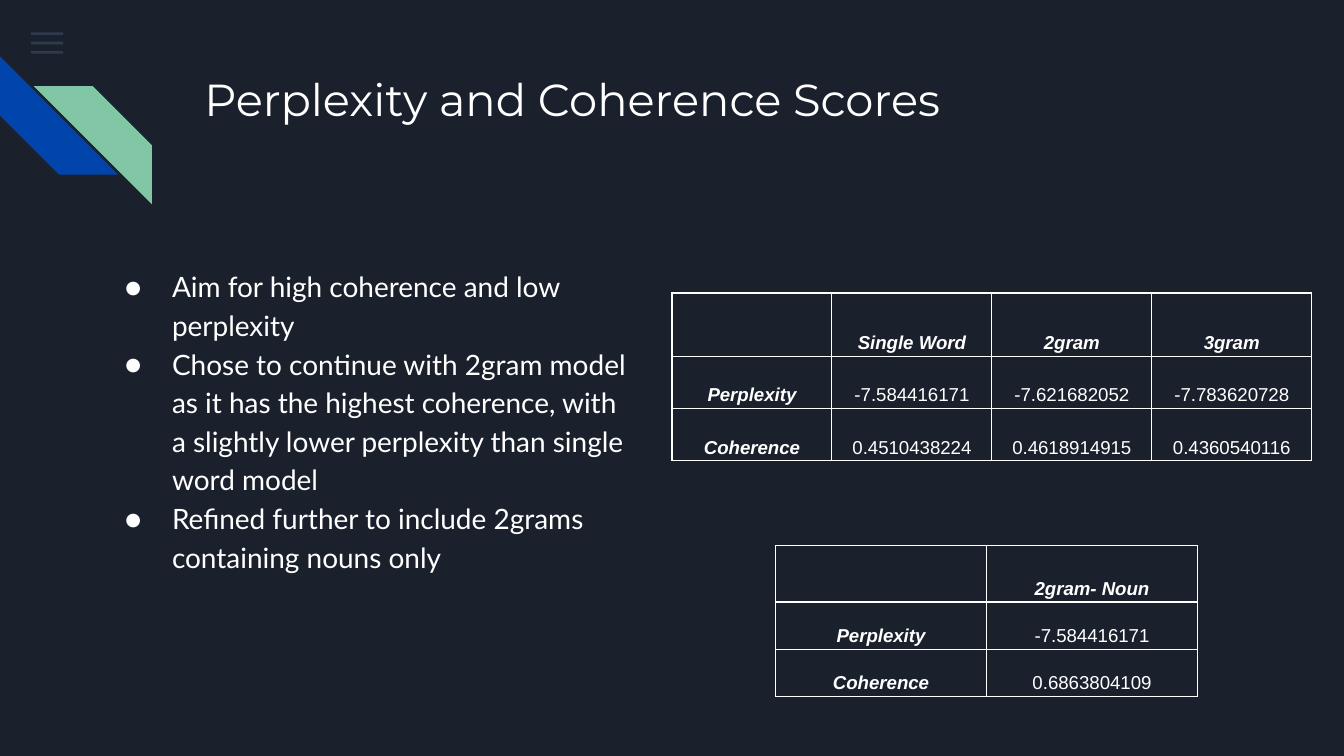
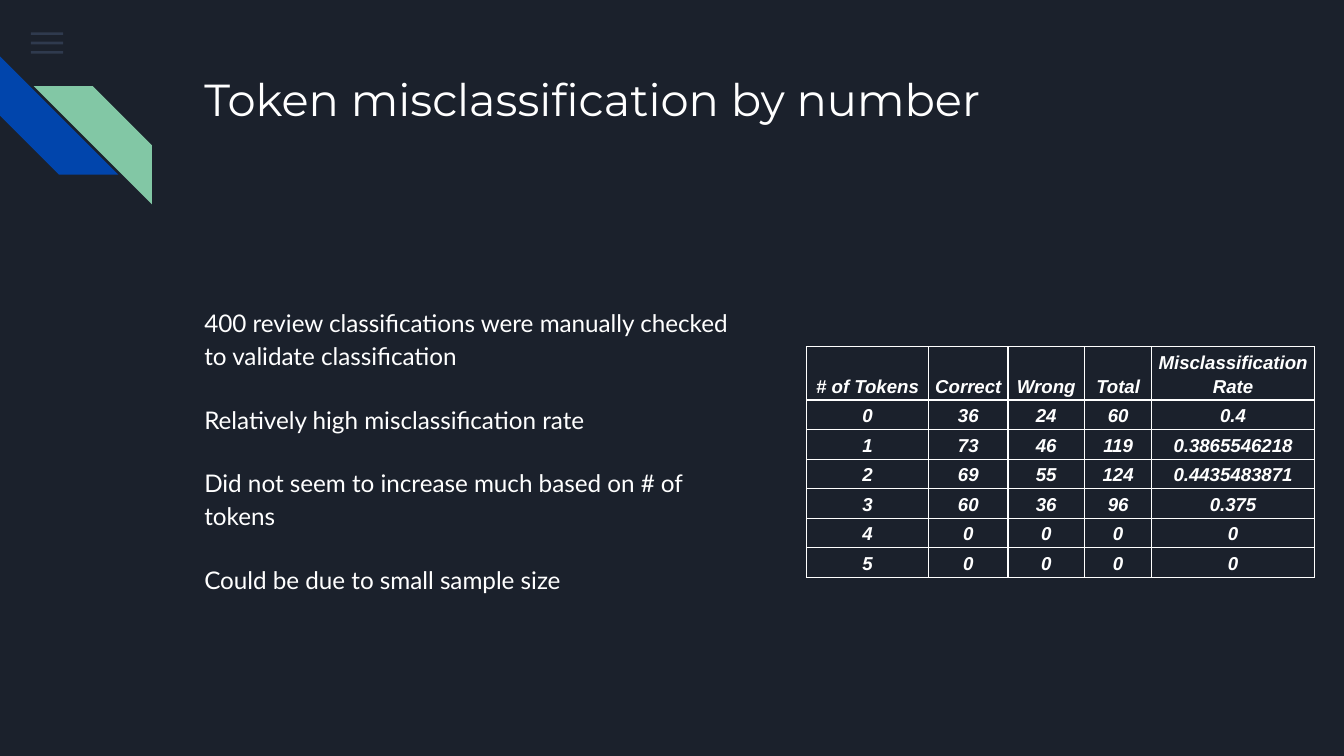
import lxml.etree
import pptx
import pptx.dml.color
import pptx.enum.shapes
import pptx.enum.text
import pptx.oxml.ns
import pptx.util

Inches = pptx.util.Inches
Pt = pptx.util.Pt
SHAPES = pptx.enum.shapes.MSO_SHAPE
ANCHOR = pptx.enum.text.MSO_ANCHOR
ALIGN = pptx.enum.text.PP_ALIGN

COLORS = {
    "background": "1B212C",
    "text": "FFFFFF",
    "menu": "55688B",
    "blue": "0145AC",
    "green": "82C7A5",
}
FONTS = {"title": "Montserrat", "body": "Lato", "table": "Arial"}
LINE_SPACING = 1.15

SLIDES = [
    {
        "title": "Perplexity and Coherence Scores",
        "title_width": 7.3,
        "body": [
            "Aim for high coherence and low perplexity",
            "Chose to continue with 2gram model as it has the highest coherence, "
            "with a slightly lower perplexity than single word model",
            "Refined further to include 2grams containing nouns only",
        ],
        "body_at": (0.68, 1.87),
        "body_size": 15,
        "bulleted": True,
        "gap": 0,
        "tables": [
            {
                "at": (5, 2.18),
                "columns": [1.19] * 4,
                "rows": [0.47, 0.39, 0.39],
                "all_bold": False,
                "cells": [
                    ["", "Single Word", "2gram", "3gram"],
                    ["Perplexity", "-7.584416171", "-7.621682052", "-7.783620728"],
                    ["Coherence", "0.4510438224", "0.4618914915", "0.4360540116"],
                ],
            },
            {
                "at": (5.77, 4.06),
                "columns": [1.57] * 2,
                "rows": [0.42, 0.35, 0.35],
                "all_bold": False,
                "cells": [
                    ["", "2gram- Noun"],
                    ["Perplexity", "-7.584416171"],
                    ["Coherence", "0.6863804109"],
                ],
            },
        ],
    },
    {
        "title": "Token misclassification by number",
        "title_width": 7.65,
        "body": [
            "400 review classifications were manually checked to validate classification",
            "Relatively high misclassification rate",
            "Did not seem to increase much based on # of tokens",
            "Could be due to small sample size",
        ],
        "body_at": (1.42, 2.16),
        "body_size": 13,
        "bulleted": False,
        "gap": 16,
        "tables": [
            {
                "at": (6, 2.58),
                "columns": [0.91, 0.59, 0.57, 0.5, 1.21],
                "rows": [0.35] + [0.22] * 6,
                "all_bold": True,
                "cells": [
                    ["# of Tokens", "Correct", "Wrong", "Total", "Misclassification Rate"],
                    ["0", "36", "24", "60", "0.4"],
                    ["1", "73", "46", "119", "0.3865546218"],
                    ["2", "69", "55", "124", "0.4435483871"],
                    ["3", "60", "36", "96", "0.375"],
                    ["4", "0", "0", "0", "0"],
                    ["5", "0", "0", "0", "0"],
                ],
            },
        ],
    },
]


def color(name):
    return pptx.dml.color.RGBColor.from_string(COLORS[name])


def add_element(parent, tag, **attributes):
    element = lxml.etree.SubElement(parent, pptx.oxml.ns.qn(tag))
    for name, value in attributes.items():
        element.set(name, str(value))
    return element


def set_font(paragraph, role, size, bold=False, italic=False):
    font = paragraph.font
    font.name = FONTS[role]
    font.size = Pt(size)
    font.bold = bold
    font.italic = italic
    font.color.rgb = color("text")


def place(shape, left, top, width, height):
    shape.left, shape.top = Inches(left), Inches(top)
    shape.width, shape.height = Inches(width), Inches(height)
    frame = shape.text_frame
    frame.word_wrap = True
    frame.auto_size = pptx.enum.text.MSO_AUTO_SIZE.NONE
    frame.vertical_anchor = ANCHOR.TOP
    frame.margin_left = frame.margin_right = Inches(0.1)
    frame.margin_top = frame.margin_bottom = Inches(0.1)
    return frame


def add_filled(slide, kind, left, top, width, height, fill):
    shape = slide.shapes.add_shape(
        kind, Inches(left), Inches(top), Inches(width), Inches(height))
    shape.shadow.inherit = False
    shape.fill.solid()
    shape.fill.fore_color.rgb = color(fill)
    shape.line.fill.background()
    return shape


def add_decoration(slide):
    for index in range(3):
        bar = add_filled(slide, SHAPES.RECTANGLE, 0.23, 0.24 + 0.07 * index, 0.24, 0.02, "menu")
        rgb = next(bar.element.spPr.iter(pptx.oxml.ns.qn("a:srgbClr")))
        add_element(rgb, "a:alpha", val=36000)
    blue = add_filled(slide, SHAPES.DIAGONAL_STRIPE, 0, 0.42, 0.88, 0.88, "blue")
    blue.rotation = 270
    green = add_filled(slide, SHAPES.DIAGONAL_STRIPE, 0.25, 0.64, 0.88, 0.88, "green")
    green.element.spPr.xfrm.set("flipH", "1")


def add_title(slide, text, width):
    frame = place(slide.shapes.title, 1.42, 0.43, width, 1.63)
    frame.text = text
    paragraph = frame.paragraphs[0]
    paragraph.alignment = ALIGN.LEFT
    set_font(paragraph, "title", 24)


def add_body(slide, content):
    frame = place(slide.placeholders[1], *content["body_at"], 4.15, 2.64)
    frame.text = "\n".join(content["body"])
    for index, paragraph in enumerate(frame.paragraphs):
        paragraph.line_spacing = LINE_SPACING
        paragraph.space_before = Pt(content["gap"] if index else 0)
        properties = paragraph._p.get_or_add_pPr()
        if content["bulleted"]:
            properties.set("marL", str(Inches(0.5)))
            properties.set("indent", str(Inches(-0.35)))
            bullet_color = add_element(properties, "a:buClr")
            add_element(bullet_color, "a:srgbClr", val=COLORS["text"])
            add_element(properties, "a:buFont", typeface=FONTS["body"])
            add_element(properties, "a:buChar", char="●")
        else:
            properties.set("marL", "0")
            properties.set("indent", "0")
            add_element(properties, "a:buNone")
        set_font(paragraph, "body", content["body_size"])


def format_cell(cell, text, emphasized):
    cell.text = text
    cell.vertical_anchor = ANCHOR.BOTTOM
    cell.margin_left = cell.margin_right = Inches(0.03)
    cell.margin_top = cell.margin_bottom = Inches(0.02)
    properties = cell._tc.get_or_add_tcPr()
    for side in ("L", "R", "T", "B"):
        border = add_element(properties, f"a:ln{side}", w=Pt(0.68))
        fill = add_element(border, "a:solidFill")
        add_element(fill, "a:srgbClr", val=COLORS["text"])
    cell.fill.solid()
    cell.fill.fore_color.rgb = color("background")
    paragraph = cell.text_frame.paragraphs[0]
    paragraph.alignment = ALIGN.CENTER
    paragraph.line_spacing = LINE_SPACING
    set_font(paragraph, "table", 10, emphasized, emphasized)


def add_scores(slide, content):
    columns, rows = content["columns"], content["rows"]
    left, top = content["at"]
    table = slide.shapes.add_table(
        len(rows), len(columns), Inches(left), Inches(top),
        Inches(sum(columns)), Inches(sum(rows))).table
    table.first_row = table.horz_banding = False
    for column, width in zip(table.columns, columns):
        column.width = Inches(width)
    for row_index, (height, texts) in enumerate(zip(rows, content["cells"])):
        table.rows[row_index].height = Inches(height)
        for column_index, text in enumerate(texts):
            emphasized = content["all_bold"] or row_index == 0 or column_index == 0
            format_cell(table.cell(row_index, column_index), text, emphasized)


def main():
    presentation = pptx.Presentation()
    presentation.slide_width = Inches(10)
    presentation.slide_height = Inches(10 * 9 / 16)
    background = presentation.slide_master.background.fill
    background.solid()
    background.fore_color.rgb = color("background")
    for content in SLIDES:
        slide = presentation.slides.add_slide(presentation.slide_layouts[1])
        add_decoration(slide)
        add_title(slide, content["title"], content["title_width"])
        add_body(slide, content)
        for table in content["tables"]:
            add_scores(slide, table)
    presentation.save("out.pptx")


if __name__ == "__main__":
    main()
